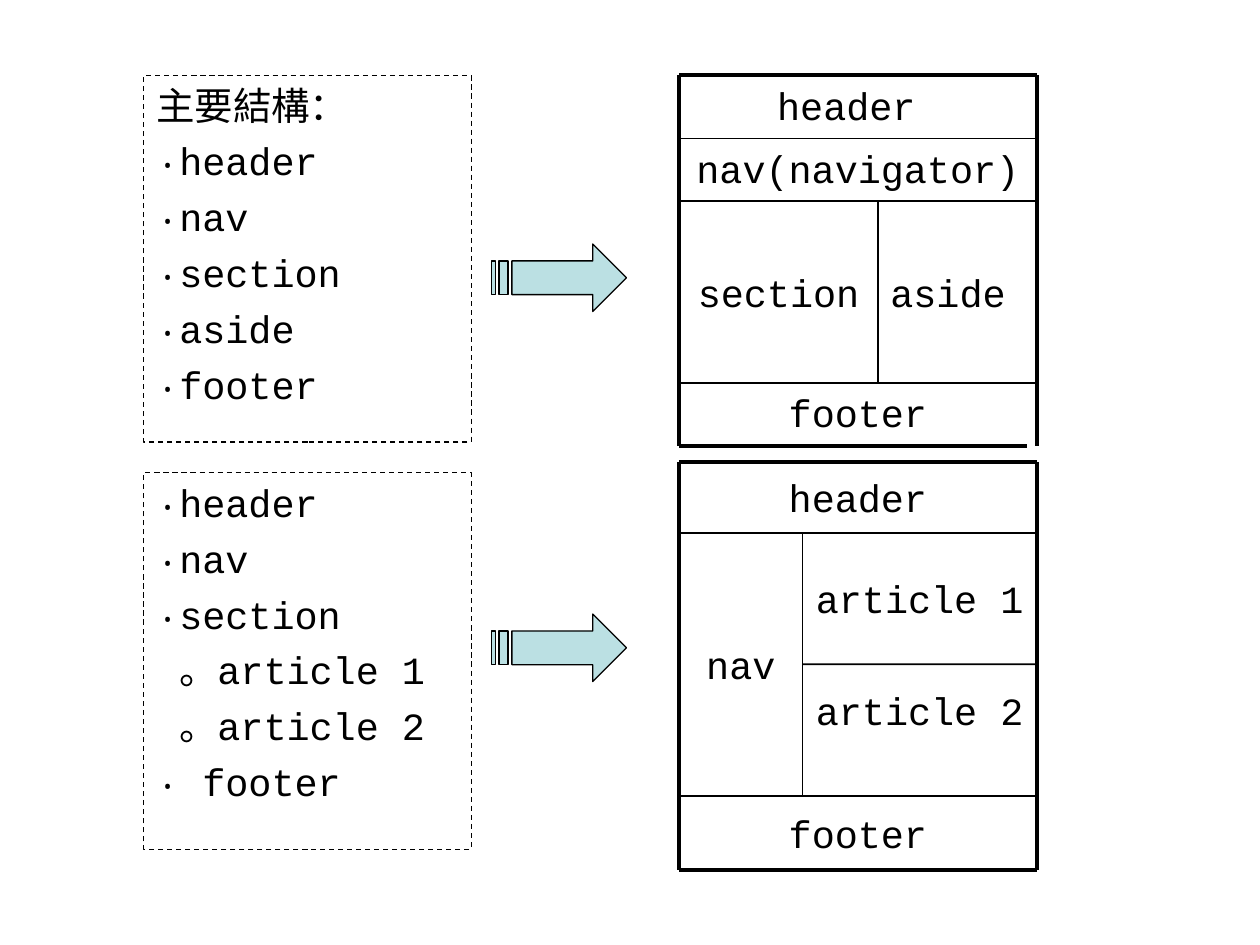
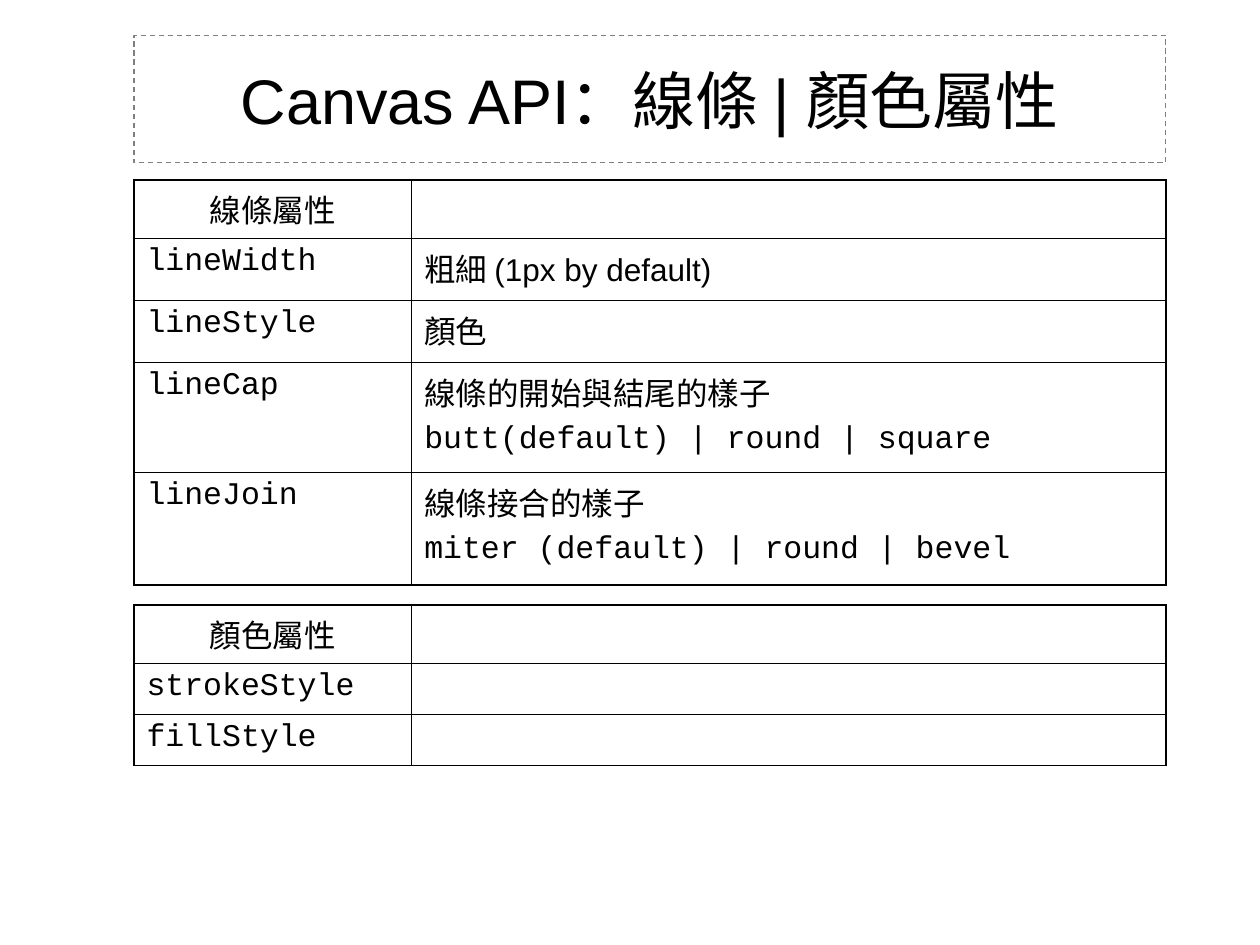
from dataclasses import dataclass
from typing import Optional

from lxml.etree import SubElement
from pptx import Presentation
from pptx.dml.color import RGBColor
from pptx.enum.dml import MSO_LINE
from pptx.enum.shapes import MSO_CONNECTOR, MSO_SHAPE
from pptx.enum.text import MSO_ANCHOR as Anchor, PP_ALIGN as Align
from pptx.oxml.ns import qn
from pptx.util import Cm, Pt

COLORS = {"ink": "000000", "title_edge": "7F7F7F", "arrow": "BBE0E3"}
CODE_FONT, TEXT_FONT = "Courier New", "Arial"
CODE_SIZE, CELL_SIZE, TITLE_SIZE = 22, 18, 36
THICK, THIN = 2.25, 1
TABLE_EDGE, TABLE_RULE = 1.08, 0.45
LEFT, RIGHT = 13.69, 20.9  # sides of both page layouts, in cm
TABLE_LEFT, TABLE_COLUMNS = 2.7, (5.6, 15.2)


@dataclass(frozen=True)
class OutlineList:
    top: float
    height: float
    items: tuple[str, ...]


@dataclass(frozen=True)
class Region:
    text: str
    left: float
    top: float
    right: float
    bottom: float
    anchor: Anchor = Anchor.MIDDLE
    align: Align = Align.CENTER
    foot_inset: Optional[float] = None


@dataclass(frozen=True)
class Rule:
    x1: float
    y1: float
    x2: float
    y2: float
    width: float = THIN
    starts_at: str = ""  # region whose right side the rule leaves


@dataclass(frozen=True)
class PageLayout:
    insets: tuple[float, float]
    regions: tuple[Region, ...]
    rules: tuple[Rule, ...]


@dataclass(frozen=True)
class Line:
    text: str
    font: str = TEXT_FONT


@dataclass(frozen=True)
class PropertyTable:
    top: float
    heading: str
    row_heights: tuple[float, ...]
    rows: tuple[tuple[str, tuple[Line, ...]], ...]
    bottom_edge: float


LISTS = (
    OutlineList(1.52, 7.39, ("主要結構：", "‧header", "‧nav", "‧section",
                             "‧aside", "‧footer")),
    OutlineList(9.53, 7.59, ("‧header", "‧nav", "‧section", "。article 1",
                             "。article 2", "‧ footer")),
)
ARROW_LEFT, ARROW_TOPS = 9.91, (4.92, 12.38)
ARROW_PARTS = (
    ((2.04, 0), (2.04, 0.34), (0.41, 0.34), (0.41, 1.02),
     (2.04, 1.02), (2.04, 1.36), (2.72, 0.68)),
    ((0.15, 0.34), (0.15, 1.02), (0.33, 1.02), (0.33, 0.34)),
    ((0, 0.34), (0, 1.02), (0.08, 1.02), (0.08, 0.34)),
)


def frame(top: float, bottom: float, bottom_right: float = RIGHT) -> tuple[Rule, ...]:
    """Thick rules around a page layout."""
    return (Rule(LEFT, top, RIGHT, top, THICK),
            Rule(LEFT, bottom, bottom_right, bottom, THICK),
            Rule(LEFT, top, LEFT, bottom, THICK),
            Rule(RIGHT, top, RIGHT, bottom, THICK))


def full_rules(*heights: float) -> tuple[Rule, ...]:
    return tuple(Rule(LEFT, y, RIGHT, y) for y in heights)


PAGE_LAYOUTS = (
    PageLayout(
        (0.25, 0.13),
        (Region("header ", LEFT, 1.52, RIGHT, 2.79, Anchor.TOP),
         Region("nav(navigator)", LEFT, 2.79, RIGHT, 4.06, Anchor.TOP),
         Region("section", LEFT, 4.06, 17.7, 7.72),
         Region("aside", 17.7, 4.06, RIGHT, 7.72, align=Align.LEFT),
         Region("footer", LEFT, 7.72, RIGHT, 8.99, Anchor.TOP)),
        frame(1.52, 8.99, 20.7) + full_rules(2.79, 4.06, 7.72)
        + (Rule(17.7, 4.06, 17.7, 7.72),),
    ),
    PageLayout(
        (0, 0),
        (Region("header", LEFT, 9.32, RIGHT, 10.74),
         Region("nav", LEFT, 10.74, 16.18, 16.04),
         Region("article 1", 16.18, 10.74, RIGHT, 13.39),
         Region("article 2", 16.18, 13.39, RIGHT, 16.04, foot_inset=0.8),
         Region("footer", LEFT, 16.04, RIGHT, 17.53)),
        frame(9.32, 17.53) + full_rules(10.74, 16.04)
        + (Rule(16.18, 10.74, 16.18, 16.04),
           Rule(16.18, 13.39, RIGHT, 13.39, starts_at="nav")),
    ),
)
TABLES = (
    PropertyTable(3.63, "線條屬性", (1.17, 1.25, 1.25, 2.22, 2.27), (
        ("lineWidth", (Line("粗細 (1px by default)"),)),
        ("lineStyle", (Line("顏色"),)),
        ("lineCap", (Line("線條的開始與結尾的樣子"),
                     Line("butt(default) | round | square", CODE_FONT))),
        ("lineJoin", (Line("線條接合的樣子"),
                      Line("miter (default) | round | bevel", CODE_FONT))),
    ), TABLE_EDGE),
    PropertyTable(12.19, "顏色屬性", (1.17, 0.98, 0.98),
                  (("strokeStyle", ()), ("fillStyle", ())), TABLE_RULE),
)


def color(name: str) -> RGBColor:
    return RGBColor.from_string(COLORS[name])


def style(para, font: str, size: float, align: Align = Align.LEFT) -> None:
    para.alignment = align
    para.font.name = font
    para.font.size = Pt(size)
    para.font.color.rgb = color("ink")


def write_lines(text_frame, lines: tuple[Line, ...], size: float,
                align: Align = Align.LEFT) -> None:
    """Write one paragraph a line, a quarter of the size apart."""
    for index, line in enumerate(lines):
        para = text_frame.add_paragraph() if index else text_frame.paragraphs[0]
        para.text = line.text
        style(para, line.font, size, align)
        if index:
            para.space_before = Pt(size / 4)


def set_edge(shape, name: str, width: float) -> None:
    shape.line.color.rgb = color(name)
    shape.line.width = Pt(width)


def draw_list(page, outline: OutlineList) -> None:
    box = page.shapes.add_shape(MSO_SHAPE.RECTANGLE, Cm(2.9), Cm(outline.top),
                                Cm(6.6), Cm(outline.height))
    box.shadow.inherit = False
    box.fill.background()
    set_edge(box, "ink", 0.75)
    box.line.dash_style = MSO_LINE.DASH
    box.text_frame.word_wrap = True
    box.text_frame.vertical_anchor = Anchor.TOP
    write_lines(box.text_frame, tuple(Line(item, CODE_FONT) for item in outline.items),
                CODE_SIZE)
    for para in box.text_frame.paragraphs:
        nested = para.text.startswith("。")
        properties = para._p.get_or_add_pPr()
        properties.set("marL", str(Cm(1.43 if nested else 0.97)))
        properties.set("indent", str(-Cm(0.97)))


def draw_region(page, region: Region, insets: tuple[float, float]):
    box = page.shapes.add_textbox(Cm(region.left), Cm(region.top),
                                  Cm(region.right - region.left),
                                  Cm(region.bottom - region.top))
    text = box.text_frame
    text.word_wrap = True
    text.vertical_anchor = region.anchor
    side, end = insets
    text.margin_left = text.margin_right = Cm(side)
    text.margin_top = Cm(end)
    text.margin_bottom = Cm(end if region.foot_inset is None else region.foot_inset)
    write_lines(text, (Line(region.text, CODE_FONT),), CODE_SIZE, region.align)
    return box


def draw_layout(page, layout: PageLayout) -> None:
    boxes = {region.text: draw_region(page, region, layout.insets)
             for region in layout.regions}
    for rule in layout.rules:
        connector = page.shapes.add_connector(
            MSO_CONNECTOR.STRAIGHT, Cm(rule.x1), Cm(rule.y1), Cm(rule.x2), Cm(rule.y2))
        if rule.starts_at:
            connector.begin_connect(boxes[rule.starts_at], 3)
        set_edge(connector, "ink", rule.width)
        SubElement(connector._element.spPr, qn("a:effectLst"))


def draw_arrow(page, top: float) -> None:
    parts = [[(Cm(ARROW_LEFT + x), Cm(top + y)) for x, y in part]
             for part in ARROW_PARTS]
    builder = page.shapes.build_freeform(*parts[0][0])
    for index, (start, *others) in enumerate(parts):
        if index:
            builder.move_to(*start)
        builder.add_line_segments(others, close=True)
    arrow = builder.convert_to_shape()
    arrow.shadow.inherit = False
    arrow.fill.solid()
    arrow.fill.fore_color.rgb = color("arrow")
    set_edge(arrow, "ink", 0.75)


def set_borders(cell, **widths: float) -> None:
    """Give the sides L, R, T and B (in that order) their line widths."""
    properties = cell._tc.get_or_add_tcPr()
    for side, width in widths.items():
        border = SubElement(properties, qn(f"a:ln{side}"), w=str(Pt(width)))
        fill = SubElement(border, qn("a:solidFill"))
        SubElement(fill, qn("a:srgbClr"), val=COLORS["ink"])


def draw_table(page, spec: PropertyTable) -> None:
    table = page.shapes.add_table(
        len(spec.row_heights), len(TABLE_COLUMNS), Cm(TABLE_LEFT), Cm(spec.top),
        Cm(sum(TABLE_COLUMNS)), Cm(sum(spec.row_heights))).table
    table.first_row = table.horz_banding = False
    for column, width in zip(table.columns, TABLE_COLUMNS):
        column.width = Cm(width)
    for row, height in zip(table.rows, spec.row_heights):
        row.height = Cm(height)

    last = len(spec.rows)
    for index in range(last + 1):
        for column in range(2):
            cell = table.cell(index, column)
            set_borders(cell,
                        L=TABLE_RULE if column else TABLE_EDGE,
                        R=TABLE_EDGE if column else TABLE_RULE,
                        T=TABLE_RULE if index else TABLE_EDGE,
                        B=spec.bottom_edge if index == last else TABLE_RULE)
            cell.fill.background()

    write_lines(table.cell(0, 0).text_frame, (Line(spec.heading),), CELL_SIZE,
                Align.CENTER)
    for index, (name, meaning) in enumerate(spec.rows, start=1):
        write_lines(table.cell(index, 0).text_frame, (Line(name, CODE_FONT),), CELL_SIZE)
        write_lines(table.cell(index, 1).text_frame, meaning, CELL_SIZE)


def draw_title(page, text: str) -> None:
    title = page.shapes.title
    title.left, title.top = Cm(TABLE_LEFT), Cm(0.71)
    title.width, title.height = Cm(sum(TABLE_COLUMNS)), Cm(2.57)
    set_edge(title, "title_edge", 0.75)
    title.line.dash_style = MSO_LINE.DASH
    title.text_frame.vertical_anchor = Anchor.MIDDLE
    write_lines(title.text_frame, (Line(text),), TITLE_SIZE, Align.CENTER)


def main() -> None:
    deck = Presentation()
    deck.slide_width, deck.slide_height = Cm(25.4), Cm(19.05)
    title_only, blank = deck.slide_layouts[5], deck.slide_layouts[6]

    structure = deck.slides.add_slide(blank)
    for outline, layout, arrow_top in zip(LISTS, PAGE_LAYOUTS, ARROW_TOPS):
        draw_list(structure, outline)
        draw_layout(structure, layout)
        draw_arrow(structure, arrow_top)

    canvas = deck.slides.add_slide(title_only)
    draw_title(canvas, "Canvas API：線條 | 顏色屬性")
    for table in TABLES:
        draw_table(canvas, table)

    deck.save("out.pptx")


if __name__ == "__main__":
    main()
